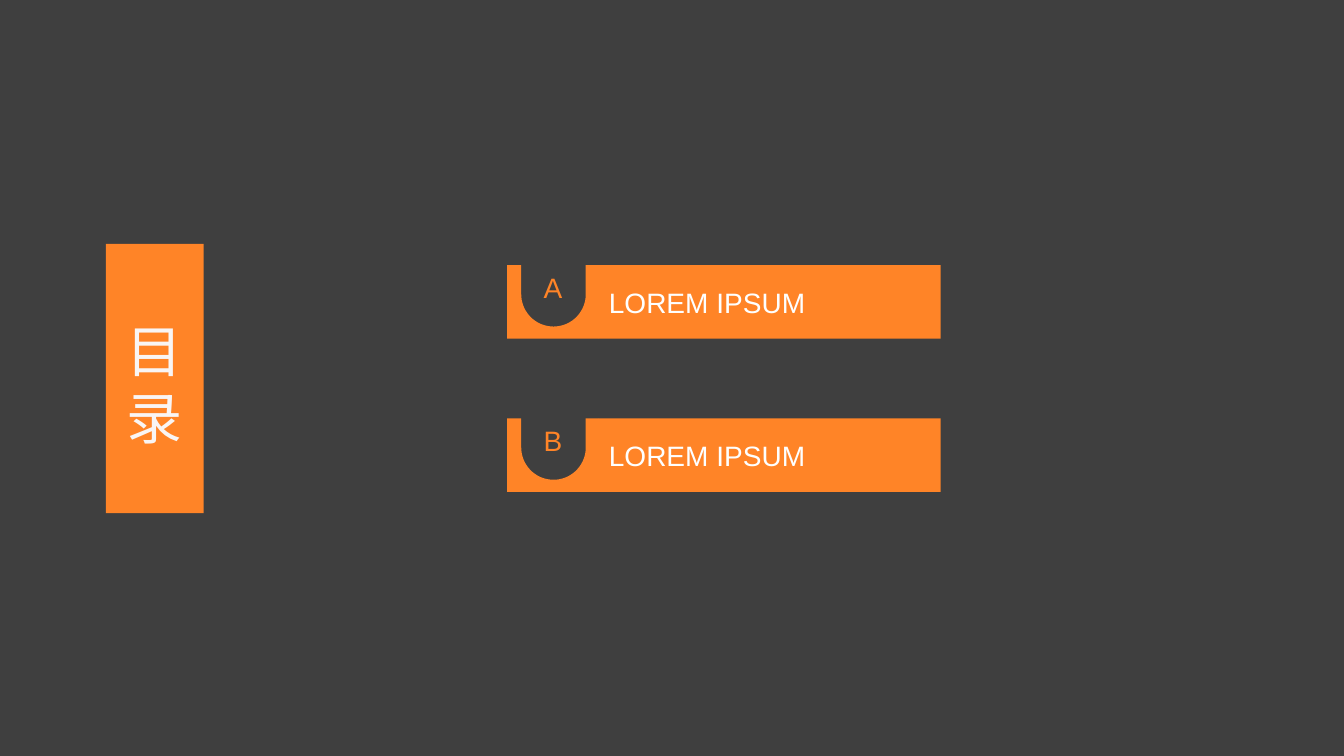
import math
from dataclasses import dataclass

import pptx
import pptx.dml.color
import pptx.enum.shapes
import pptx.enum.text
import pptx.oxml
import pptx.oxml.ns
import pptx.shapes.autoshape
import pptx.shapes.group
import pptx.slide
import pptx.util
from pptx.util import Inches

DARK = pptx.dml.color.RGBColor(0x3F, 0x3F, 0x3F)
ORANGE = pptx.dml.color.RGBColor(0xFF, 0x84, 0x27)
CREAM = pptx.dml.color.RGBColor(0xF9, 0xF5, 0xF4)
WHITE = pptx.dml.color.RGBColor(0xFE, 0xFF, 0xFF)
ALIGN = pptx.enum.text.PP_ALIGN
ANCHOR = pptx.enum.text.MSO_ANCHOR

ITEM_LEFT, ITEM_TOP, ITEM_STEP = 5.03, 2.63, 1.52
ITEM_HEIGHT, TAB_WIDTH, BAR_WIDTH = 0.73, 0.91, 3.39
NOTCH_X, NOTCH_DEPTH, NOTCH_RADIUS = 0.46, 0.29, 0.32
ARC_STEPS = 36


@dataclass
class Item:
    letter: str
    label: str


ITEMS = [Item("A", "LOREM IPSUM"), Item("B", "LOREM IPSUM")]


def fill_orange(sp: pptx.shapes.autoshape.Shape) -> None:
    sp.fill.solid()
    sp.fill.fore_color.rgb = ORANGE
    sp.line.fill.background()


def set_text(sp: pptx.shapes.autoshape.Shape, text: str, size: int, font: str,
             color: pptx.dml.color.RGBColor, align: ALIGN, anchor: ANCHOR) -> None:
    tf = sp.text_frame
    tf.text = text
    tf.word_wrap = True
    tf.vertical_anchor = anchor
    p = tf.paragraphs[0]
    p.alignment = align
    r = p.runs[0]
    r.font.size = pptx.util.Pt(size)
    r.font.name = font
    r.font.color.rgb = color


def add_tab(grp: pptx.shapes.group.GroupShape, top: float, letter: str) -> None:
    """Draw the square tab with a round-bottomed notch holding the letter."""
    center, right, bottom = ITEM_LEFT + NOTCH_X, ITEM_LEFT + TAB_WIDTH, top + ITEM_HEIGHT
    angles = [math.pi * (1 - i / ARC_STEPS) for i in range(ARC_STEPS + 1)]
    arc = [(center + NOTCH_RADIUS * math.cos(a),
            top + NOTCH_DEPTH + NOTCH_RADIUS * math.sin(a)) for a in angles]
    points = [(center - NOTCH_RADIUS, top), *arc, (center + NOTCH_RADIUS, top),
              (right, top), (right, bottom), (ITEM_LEFT, bottom)]
    builder = grp.shapes.build_freeform(Inches(ITEM_LEFT), Inches(top))
    builder.add_line_segments([(Inches(x), Inches(y)) for x, y in points])
    sp = builder.convert_to_shape()
    sp.shadow.inherit = False
    fill_orange(sp)
    set_text(sp, letter, 20, "Arial", ORANGE, ALIGN.CENTER, ANCHOR.TOP)


def add_item(s: pptx.slide.Slide, top: float, item: Item) -> None:
    grp = s.shapes.add_group_shape()
    add_tab(grp, top, item.letter)
    bar = grp.shapes.add_shape(
        pptx.enum.shapes.MSO_SHAPE.RECTANGLE, Inches(ITEM_LEFT + TAB_WIDTH),
        Inches(top), Inches(BAR_WIDTH), Inches(ITEM_HEIGHT))
    bar.shadow.inherit = False
    fill_orange(bar)
    set_text(bar, item.label, 20, "Arial", WHITE, ALIGN.LEFT, ANCHOR.MIDDLE)


def add_title(s: pptx.slide.Slide) -> None:
    sp = s.shapes.title
    sp.left, sp.top = Inches(1.05), Inches(2.42)
    sp.width, sp.height = Inches(0.97), Inches(2.67)
    fill_orange(sp)
    font = "Noto Sans CJK SC"
    set_text(sp, "目录", 40, font, CREAM, ALIGN.CENTER, ANCHOR.MIDDLE)
    tf = sp.text_frame
    tf.auto_size = pptx.enum.text.MSO_AUTO_SIZE.NONE
    tf.margin_top = Inches(0.15)
    p = tf.paragraphs[0]
    p.line_spacing = pptx.util.Pt(48)
    # East Asian typeface
    ea = pptx.oxml.parse_xml(
        f'<a:ea {pptx.oxml.ns.nsdecls("a")} typeface="{font}"/>')
    p.runs[0].font._element.find(pptx.oxml.ns.qn("a:latin")).addnext(ea)


def main() -> None:
    prs = pptx.Presentation()
    prs.slide_width, prs.slide_height = Inches(13.33), Inches(7.5)
    s = prs.slides.add_slide(prs.slide_layouts[5])
    s.background.fill.solid()
    s.background.fill.fore_color.rgb = DARK

    # Vertical heading
    add_title(s)

    # Contents entries
    for i, item in enumerate(ITEMS):
        add_item(s, ITEM_TOP + i * ITEM_STEP, item)

    prs.save("out.pptx")


if __name__ == "__main__":
    main()
